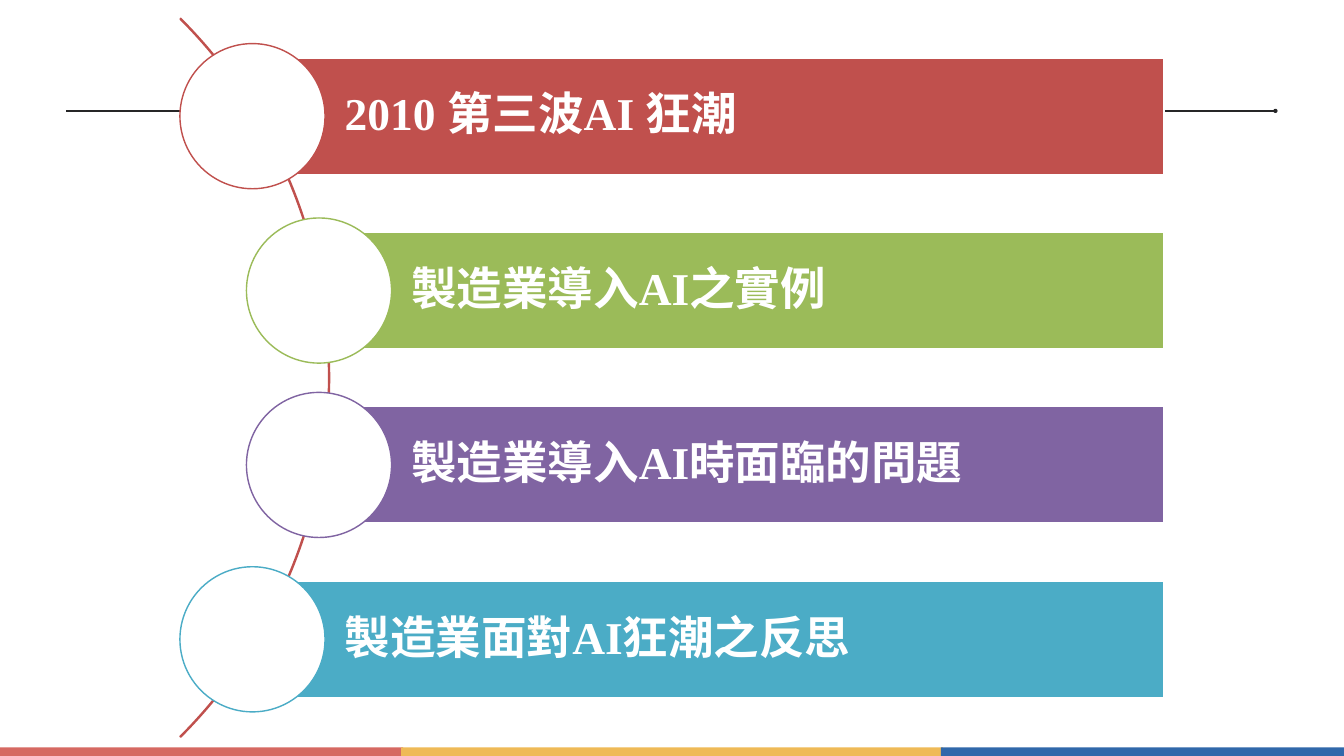
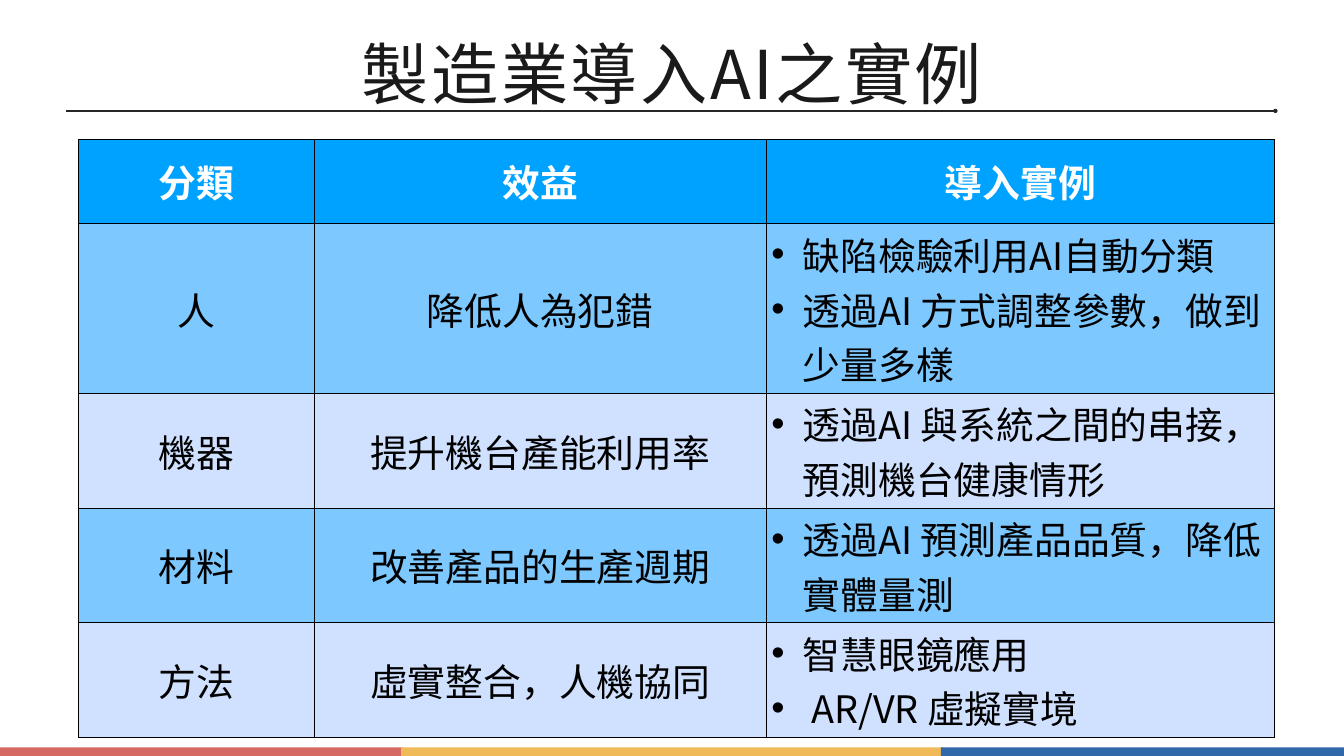
from lxml.etree import SubElement
from pptx import Presentation
from pptx.dml.color import RGBColor
from pptx.enum.shapes import MSO_CONNECTOR, MSO_SHAPE
from pptx.enum.text import MSO_ANCHOR, PP_ALIGN
from pptx.oxml.ns import qn
from pptx.util import Inches, Pt

SANS = "Noto Sans CJK SC"
SERIF = "Times New Roman"
WHITE, BLACK, INK = "FFFFFF", "000000", "1A1A1A"
RULE = "262627"
RED, GREEN, PURPLE, TEAL = "C0504D", "9BBB59", "8064A2", "4BACC6"
HEADER_BLUE, MID_BLUE, PALE_BLUE = "00A2FF", "7DC8FF", "D0E1FF"


def add_block(slide, preset, box, fill, outline=None):
    block = slide.shapes.add_shape(preset, *map(Inches, box))
    block.shadow.inherit = False
    block.fill.solid()
    block.fill.fore_color.rgb = RGBColor.from_string(fill)
    if outline:
        block.line.color.rgb = RGBColor.from_string(outline)
        block.line.width = Pt(2)
    else:
        block.line.fill.background()
    return block


def add_run(paragraph, text, size, color, face=SANS, bold=False):
    run = paragraph.add_run()
    run.text = text
    run.font.size = Pt(size)
    run.font.bold = bold
    run.font.name = face
    run.font.color.rgb = RGBColor.from_string(color)
    SubElement(run.font._element, qn("a:ea"), typeface=SANS)
    return run


deck = Presentation()
deck.slide_width = Inches(26.67)
deck.slide_height = Inches(15)
agenda = deck.slides.add_slide(deck.slide_layouts[6])
examples = deck.slides.add_slide(deck.slide_layouts[5])

for slide in (agenda, examples):
    for left, width, color in (
        (-0.05, 8.05, "D66962"),
        (7.96, 10.75, "EFBA57"),
        (18.67, 8.05, "3068AA"),
    ):
        add_block(slide, MSO_SHAPE.RECTANGLE, (left, 14.83, width, 0.17), color)
    title_rule = slide.shapes.add_connector(
        MSO_CONNECTOR.STRAIGHT, Inches(1.31), Inches(2.2), Inches(25.31), Inches(2.2)
    )
    title_rule.line.color.rgb = RGBColor.from_string(RULE)
    title_rule.line.width = Pt(2)
    SubElement(title_rule.line._get_or_add_ln(), qn("a:tailEnd"), type="oval")
    SubElement(title_rule._element.spPr, qn("a:effectLst"))

arc = add_block(agenda, MSO_SHAPE.BLOCK_ARC, (-13.63, -2.59, 20.17, 20.17), RED, RED)
arc.adjustments[0] = 189
arc.adjustments[1] = 27
arc.adjustments[2] = 0.001
arc.fill.background()

BAR_RIGHT, BAR_HEIGHT, BAR_STEP = 23.1, 2.31, 3.46
CIRCLE = 2.88
topics = (
    ("2010 第三波AI 狂潮", RED, 5.01),
    ("製造業導入AI之實例", GREEN, 6.33),
    ("製造業導入AI時面臨的問題", PURPLE, 6.33),
    ("製造業面對AI狂潮之反思", TEAL, 5.01),
)
for index, (topic, color, left) in enumerate(topics):
    top = 1.15 + index * BAR_STEP
    bar = add_block(
        agenda, MSO_SHAPE.RECTANGLE, (left, top, BAR_RIGHT - left, BAR_HEIGHT), color, WHITE
    )
    frame = bar.text_frame
    frame.word_wrap = True
    frame.vertical_anchor = MSO_ANCHOR.MIDDLE
    frame.margin_left = Inches(1.83)
    frame.margin_right = frame.margin_top = frame.margin_bottom = Inches(0.18)
    line = frame.paragraphs[0]
    line.alignment = PP_ALIGN.LEFT
    line.line_spacing = 0.9
    add_run(line, topic, 65, WHITE, SERIF, True)
    circle_top = top + (BAR_HEIGHT - CIRCLE) / 2
    add_block(
        agenda, MSO_SHAPE.OVAL, (left - CIRCLE / 2, circle_top, CIRCLE, CIRCLE), WHITE, color
    )

heading = examples.shapes.title
heading.left, heading.top = Inches(0), Inches(0.62)
heading.width, heading.height = Inches(26.67), Inches(1.65)
frame = heading.text_frame
frame.word_wrap = True
frame.vertical_anchor = MSO_ANCHOR.MIDDLE
frame.margin_left = frame.margin_right = Inches(0.08)
frame.margin_top = frame.margin_bottom = Inches(0.08)
frame.paragraphs[0].alignment = PP_ALIGN.CENTER
heading_run = add_run(frame.paragraphs[0], "製造業導入AI之實例", 96, INK)
heading_run.font._element.set("spc", "350")

rows = (
    ("分類", "效益", ("導入實例",)),
    ("人", "降低人為犯錯", ("缺陷檢驗利用AI自動分類", "透過AI 方式調整參數，做到少量多樣")),
    ("機器", "提升機台產能利用率", ("透過AI 與系統之間的串接，預測機台健康情形",)),
    ("材料", "改善產品的生產週期", ("透過AI 預測產品品質，降低實體量測",)),
    ("方法", "虛實整合，人機協同", ("智慧眼鏡應用", " AR/VR 虛擬實境")),
)
column_widths = (4.67, 8.98, 10.08)
row_heights = (1.68, 3.37, 2.27, 2.27, 2.27)
benefits = examples.shapes.add_table(
    len(rows), len(column_widths), Inches(1.56), Inches(2.76),
    Inches(sum(column_widths)), Inches(sum(row_heights)),
).table
benefits.horz_banding = False
for column, width in zip(benefits.columns, column_widths):
    column.width = Inches(width)

for r, (category, benefit, cases) in enumerate(rows):
    benefits.rows[r].height = Inches(row_heights[r])
    header = r == 0
    fill = HEADER_BLUE if header else MID_BLUE if r % 2 else PALE_BLUE
    for c, entries in enumerate(((category,), (benefit,), cases)):
        cell = benefits.cell(r, c)
        cell.vertical_anchor = MSO_ANCHOR.MIDDLE
        for side in ("lnL", "lnR", "lnT", "lnB"):
            border = SubElement(cell._tc.get_or_add_tcPr(), qn("a:" + side), w=str(Pt(1)))
            SubElement(SubElement(border, qn("a:solidFill")), qn("a:srgbClr"), val=BLACK)
        cell.fill.solid()
        cell.fill.fore_color.rgb = RGBColor.from_string(fill)
        for position, entry in enumerate(entries):
            frame = cell.text_frame
            line = frame.add_paragraph() if position else frame.paragraphs[0]
            if c == 2 and not header:
                props = line._p.get_or_add_pPr()
                props.set("marL", str(Inches(0.62)))
                props.set("indent", str(Inches(-0.62)))
                SubElement(props, qn("a:buFont"), typeface="Arial")
                SubElement(props, qn("a:buChar"), char="•")
            else:
                line.alignment = PP_ALIGN.CENTER
            add_run(line, entry, 54, WHITE if header else BLACK, bold=header)

deck.save("out.pptx")
